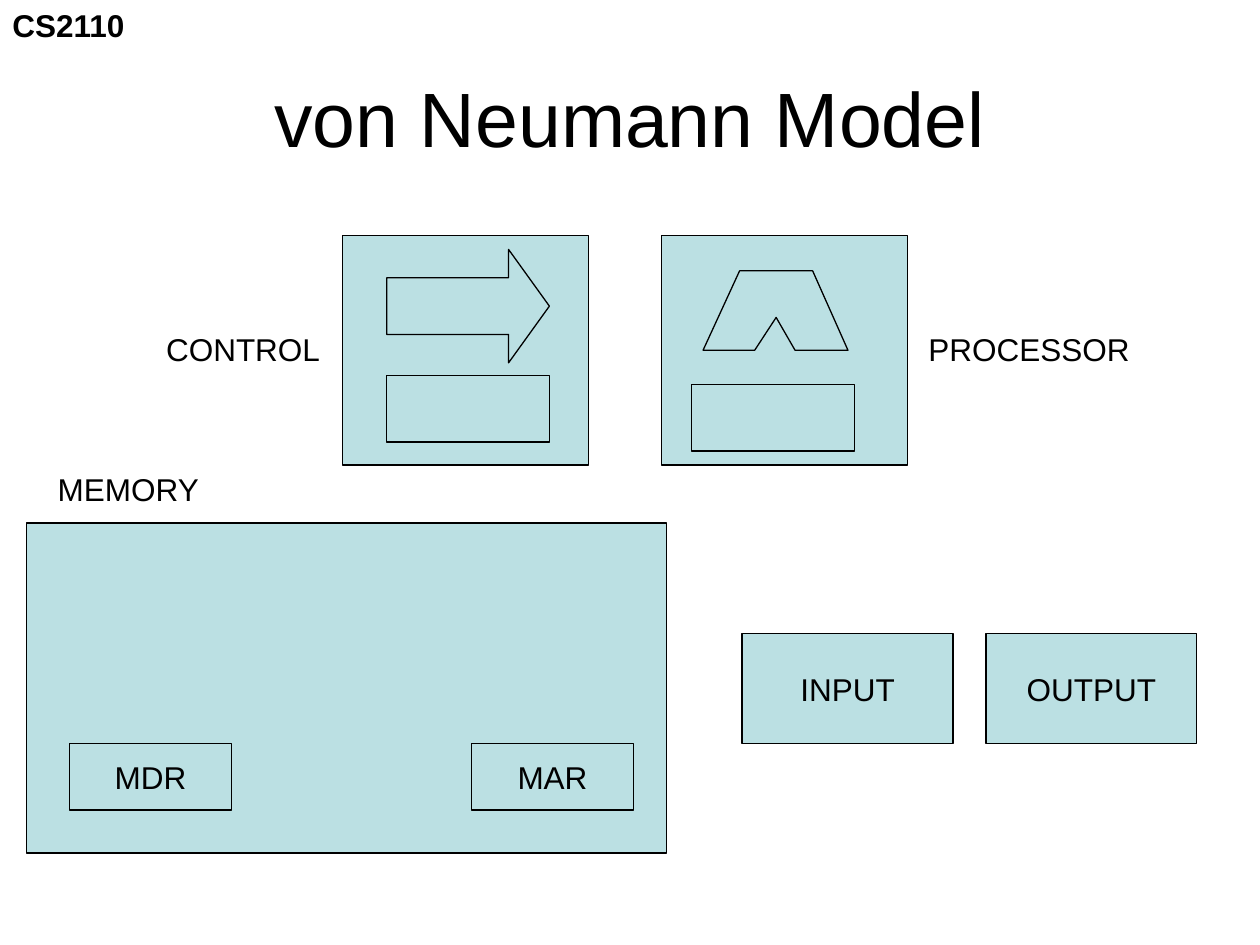
import pptx
import pptx.util
import pptx.dml.color
import pptx.enum.shapes
import pptx.enum.text
from pptx.util import Inches

BLACK = pptx.dml.color.RGBColor(0x00, 0x00, 0x00)
PALE_TEAL = pptx.dml.color.RGBColor(0xBB, 0xE0, 0xE3)
SHAPES = pptx.enum.shapes.MSO_SHAPE
ALIGN = pptx.enum.text.PP_ALIGN
ANCHOR = pptx.enum.text.MSO_ANCHOR
REGISTER_WIDTH, REGISTER_HEIGHT = 1.29, 0.53


def write_text(shape, text, size=18, bold=False, align=ALIGN.LEFT,
               anchor=ANCHOR.TOP, wrap=False):
    frame = shape.text_frame
    frame.text = text
    frame.word_wrap = wrap
    frame.vertical_anchor = anchor
    paragraph = frame.paragraphs[0]
    paragraph.alignment = align
    font = paragraph.runs[0].font
    font.name = "Arial"
    font.size = pptx.util.Pt(size)
    font.bold = bold
    font.color.rgb = BLACK


def add_label(slide, text, left, top, width, **text_format):
    label = slide.shapes.add_textbox(Inches(left), Inches(top), Inches(width), Inches(0.4))
    write_text(label, text, **text_format)
    label.text_frame.auto_size = pptx.enum.text.MSO_AUTO_SIZE.SHAPE_TO_FIT_TEXT


def style_shape(shape):
    shape.shadow.inherit = False
    shape.fill.solid()
    shape.fill.fore_color.rgb = PALE_TEAL
    shape.line.color.rgb = BLACK
    shape.line.width = pptx.util.Pt(0.75)


def add_block(slide, left, top, width, height, text=None, kind=SHAPES.RECTANGLE):
    block = slide.shapes.add_shape(
        kind, Inches(left), Inches(top), Inches(width), Inches(height))
    style_shape(block)
    if text:
        write_text(block, text, align=ALIGN.CENTER, anchor=ANCHOR.MIDDLE)
    return block


def add_register(slide, left, top, text=None):
    add_block(slide, left, top, REGISTER_WIDTH, REGISTER_HEIGHT, text)


def add_heading(slide, left, top, width, height):
    title = slide.shapes.title
    title.left, title.top = Inches(left), Inches(top)
    title.width, title.height = Inches(width), Inches(height)
    write_text(title, "von Neumann Model", size=44, align=ALIGN.CENTER,
               anchor=ANCHOR.MIDDLE, wrap=True)
    add_label(slide, "CS2110", 0, 0, 1.1, bold=True)


def add_memory(slide, left, top, width, height):
    add_block(slide, left, top, width, height)
    register_top = top + 1.75
    add_register(slide, left + 0.34, register_top, "MDR")
    add_register(slide, left + width - 0.26 - REGISTER_WIDTH, register_top, "MAR")
    add_label(slide, "MEMORY", left + 0.15, top - 0.47, 1.34)


def add_control(slide, left, top, width, height):
    add_block(slide, left, top, width, height)
    add_register(slide, left + 0.35, top + 1.11)
    arrow = add_block(slide, left + 0.35, top + 0.11, REGISTER_WIDTH, 0.9,
                      kind=SHAPES.RIGHT_ARROW)
    arrow.adjustments[0] = 0.5
    arrow.adjustments[1] = 0.36
    add_label(slide, "CONTROL", left - 1.5, top + 0.7, 1.42)


def add_processor(slide, left, top, width, height):
    add_block(slide, left, top, width, height)
    # Arithmetic unit: a trapezoid with a notch in its base
    outline = [(1.48, 0.91), (1.06, 0.91), (0.91, 0.65), (0.74, 0.91),
               (0.33, 0.91), (0.62, 0.28), (1.20, 0.28)]
    points = [(Inches(left + x), Inches(top + y)) for x, y in outline]
    builder = slide.shapes.build_freeform(*points[0])
    builder.add_line_segments(points[1:], close=True)
    style_shape(builder.convert_to_shape())
    add_register(slide, left + 0.24, top + 1.18)
    add_label(slide, "PROCESSOR", left + width + 0.07, top + 0.7, 1.8)


def add_input_output(slide, left, top, width, height):
    gap = 0.26
    block_width = (width - gap) / 2
    for index, name in enumerate(("INPUT", "OUTPUT")):
        add_block(slide, left + index * (block_width + gap), top,
                  block_width, height, name)


def main():
    presentation = pptx.Presentation()
    presentation.slide_width = Inches(10)
    presentation.slide_height = Inches(7.5)
    slide = presentation.slides.add_slide(presentation.slide_layouts[5])

    add_heading(slide, 0.5, 0.3, 9, 1.25)
    add_memory(slide, 0.21, 4.15, 5.08, 2.62)
    add_input_output(slide, 5.89, 5.03, 3.61, 0.87)
    add_control(slide, 2.72, 1.87, 1.95, 1.82)
    add_processor(slide, 5.25, 1.87, 1.95, 1.82)

    presentation.save("out.pptx")


if __name__ == "__main__":
    main()
